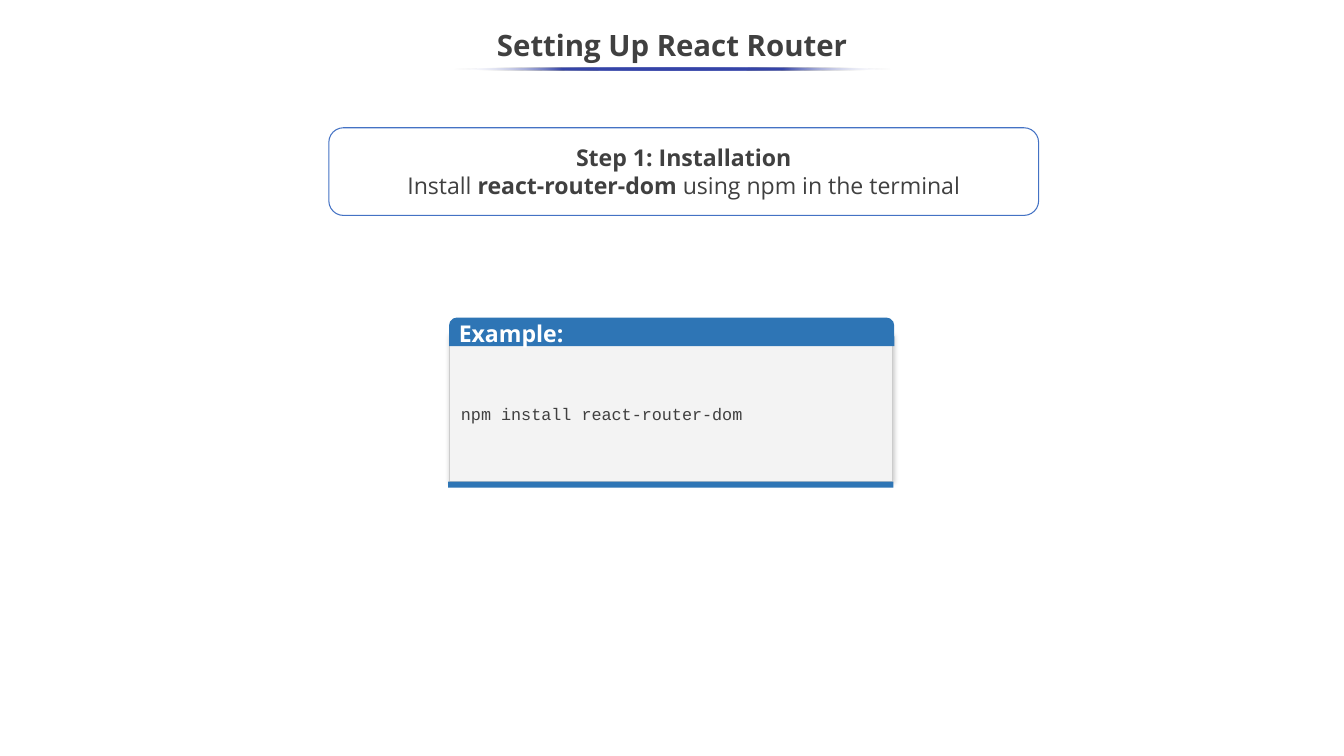
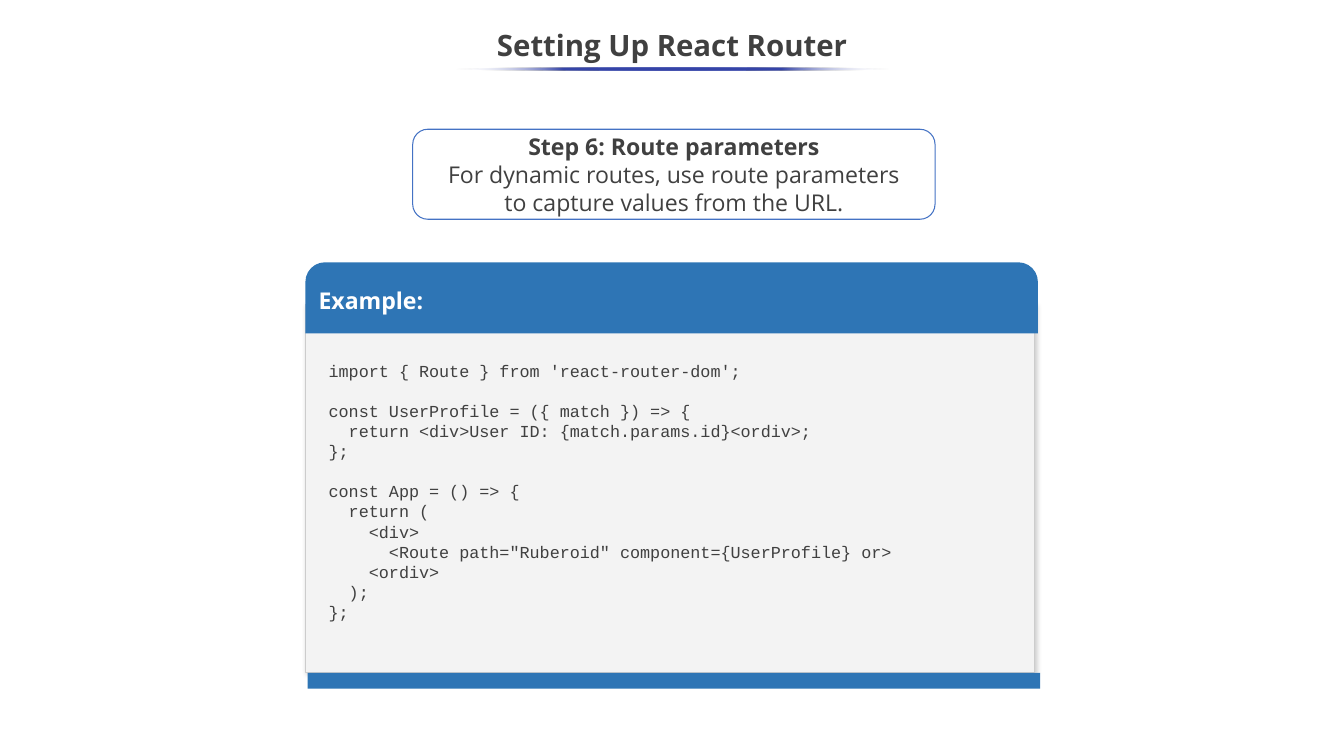
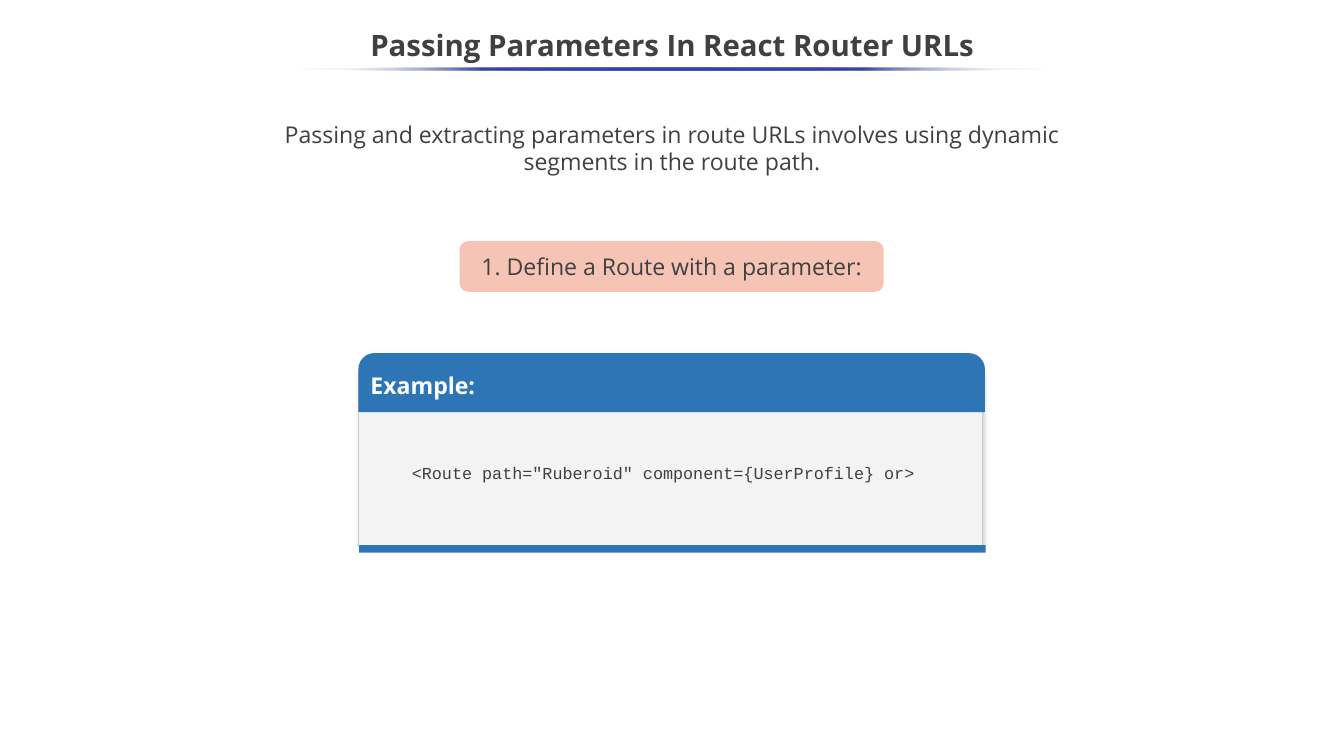
from dataclasses import dataclass
from typing import NamedTuple

from pptx import Presentation
from pptx import oxml
from pptx import util as u
from pptx.dml.color import RGBColor
from pptx.enum import shapes, text
from pptx.oxml import ns


# Colours, fonts and type sizes
@dataclass(frozen=True)
class Theme:
    ink: str = "404040"
    white: str = "FFFFFF"
    blue: str = "2E75B5"
    outline: str = "4472C4"
    peach: str = "F5C4B5"
    panel: str = "F3F3F3"
    panel_edge: str = "CCCCCC"
    underline: str = "3645A9"
    sans: str = "Open Sans"
    mono: str = "Courier New"
    title_size: int = 28
    body_size: int = 22
    code_size: int = 16
    code_gap: int = 19


THEME = Theme()
SLIDE_WIDTH, SLIDE_HEIGHT = 17.78, 10
FOOT_RULE = shapes.MSO_SHAPE.RECTANGLE


class Box(NamedTuple):
    left: float
    top: float
    width: float
    height: float

    def lengths(self) -> list[u.Length]:
        return [u.Inches(value) for value in self]


class Span(NamedTuple):
    words: str
    bold: bool = False


Line = tuple[Span, ...]


@dataclass(frozen=True)
class Callout:
    box: Box
    lines: tuple[Line, ...]
    fill: str = THEME.white
    outline: str | None = THEME.outline


@dataclass(frozen=True)
class Example:
    body: Box
    header: Box
    foot: Box
    code_box: Box
    code: str


@dataclass(frozen=True)
class Lesson:
    title: str
    underline: Box
    callout: Callout
    example: Example
    intro: Callout | None = None


# Text
def style_font(font, size: int, color: str, name: str = THEME.sans,
               bold: bool = False) -> None:
    font.size = u.Pt(size)
    font.name = name
    font.bold = bold
    font.color.rgb = RGBColor.from_string(color)


def write_centred(frame, lines: tuple[Line, ...]) -> None:
    frame.word_wrap = True
    for index, line in enumerate(lines):
        paragraph = frame.add_paragraph() if index else frame.paragraphs[0]
        paragraph.alignment = text.PP_ALIGN.CENTER
        for span in line:
            run = paragraph.add_run()
            run.text = span.words
            style_font(run.font, THEME.body_size, THEME.ink, bold=span.bold)


def add_text_box(slide, box: Box):
    frame = slide.shapes.add_textbox(*box.lengths()).text_frame
    frame.word_wrap = True
    frame.auto_size = text.MSO_AUTO_SIZE.SHAPE_TO_FIT_TEXT
    return frame


def add_code(slide, box: Box, code: str) -> None:
    """Blank lines in the code become space before the next paragraph."""
    frame = add_text_box(slide, box)
    for block_index, block in enumerate(code.split("\n\n")):
        for line_index, line in enumerate(block.split("\n")):
            first = block_index == line_index == 0
            paragraph = frame.paragraphs[0] if first else frame.add_paragraph()
            paragraph.text = line
            if block_index and not line_index:
                paragraph.space_before = u.Pt(THEME.code_gap)
            style_font(paragraph.runs[0].font, THEME.code_size, THEME.ink, THEME.mono)


# Shapes
def add_block(owner, kind: shapes.MSO_SHAPE, box: Box, fill: str,
              outline: str | None = None, weight: float = 1):
    block = owner.shapes.add_shape(kind, *box.lengths())
    block.shadow.inherit = False
    block.fill.solid()
    block.fill.fore_color.rgb = RGBColor.from_string(fill)
    if outline:
        block.line.color.rgb = RGBColor.from_string(outline)
        block.line.width = u.Pt(weight)
    else:
        block.line.fill.background()
    return block


def add_callout(slide, callout: Callout) -> None:
    block = add_block(slide, shapes.MSO_SHAPE.ROUNDED_RECTANGLE, callout.box,
                      callout.fill, callout.outline)
    block.text_frame.vertical_anchor = text.MSO_ANCHOR.MIDDLE
    write_centred(block.text_frame, callout.lines)


def add_underline(slide, box: Box) -> None:
    """Thin ellipse that fades out at both ends."""
    rule = add_block(slide, shapes.MSO_SHAPE.OVAL, box, THEME.underline)
    clear = f'<a:srgbClr val="{THEME.white}"><a:alpha val="0"/></a:srgbClr>'
    solid = f'<a:srgbClr val="{THEME.underline}"/>'
    stops = "".join(
        f'<a:gs pos="{percent * 1000}">{clear if percent in (0, 100) else solid}</a:gs>'
        for percent in range(0, 101, 25))
    gradient = oxml.parse_xml(
        f'<a:gradFill {ns.nsdecls("a")}><a:gsLst>{stops}</a:gsLst>'
        '<a:lin ang="10800000" scaled="0"/></a:gradFill>')
    properties = rule.element.spPr
    properties.replace(properties.find(ns.qn("a:solidFill")), gradient)


def cast_shadow(block) -> None:
    effects = block.element.spPr.find(ns.qn("a:effectLst"))
    effects.append(oxml.parse_xml(
        f'<a:outerShdw {ns.nsdecls("a")} blurRad="{u.Pt(4.5)}" dist="{u.Pt(1.5)}" '
        f'dir="{47 * 60000}" algn="tl" rotWithShape="0">'
        '<a:srgbClr val="000000"><a:alpha val="20000"/></a:srgbClr></a:outerShdw>'))


def add_example(slide, example: Example) -> None:
    panel = slide.shapes.add_group_shape()
    cast_shadow(add_block(panel, shapes.MSO_SHAPE.RECTANGLE, example.body,
                          THEME.panel, THEME.panel_edge, 0.75))
    header = add_block(panel, shapes.MSO_SHAPE.ROUND_2_SAME_RECTANGLE,
                       example.header, THEME.blue)
    header.adjustments[0] = 0.275
    header.adjustments[1] = 0
    frame = header.text_frame
    frame.text = "Example:"
    frame.word_wrap = True
    frame.vertical_anchor = text.MSO_ANCHOR.MIDDLE
    frame.paragraphs[0].alignment = text.PP_ALIGN.LEFT
    style_font(frame.paragraphs[0].runs[0].font, THEME.body_size, THEME.white, bold=True)
    add_block(panel, FOOT_RULE, example.foot, THEME.blue)
    add_code(slide, example.code_box, example.code)


def add_title(slide, words: str) -> None:
    title = slide.shapes.title
    title.left, title.top, title.width, title.height = Box(-0.01, 0.25, 17.8, 0.75).lengths()
    frame = title.text_frame
    frame.text = words
    frame.auto_size = text.MSO_AUTO_SIZE.NONE
    frame.vertical_anchor = text.MSO_ANCHOR.MIDDLE
    paragraph = frame.paragraphs[0]
    paragraph.alignment = text.PP_ALIGN.CENTER
    paragraph.line_spacing = 0.9
    style_font(paragraph.runs[0].font, THEME.title_size, THEME.ink, bold=True)


def add_lesson(deck, lesson: Lesson) -> None:
    slide = deck.slides.add_slide(deck.slide_layouts.get_by_name("Title Only"))
    add_title(slide, lesson.title)
    add_underline(slide, lesson.underline)
    if lesson.intro:
        write_centred(add_text_box(slide, lesson.intro.box), lesson.intro.lines)
    add_callout(slide, lesson.callout)
    add_example(slide, lesson.example)


# Content
ROUTE_CODE = '<Route path="Ruberoid" component={UserProfile} or>'
PARAMETERS_CODE = f"""import {{ Route }} from 'react-router-dom';

const UserProfile = ({{ match }}) => {{
  return <div>User ID: {{match.params.id}}<ordiv>;
}};

const App = () => {{
  return (
    <div>
      {ROUTE_CODE}
    <ordiv>
  );
}};"""

LESSONS = (
    Lesson(
        "Setting Up React Router",
        Box(6, 0.89, 5.79, 0.04),
        Callout(Box(4.35, 1.69, 9.39, 1.16), (
            (Span("Step 1: Installation", True),),
            (Span("Install "), Span("react-router-dom ", True),
             Span("using npm in the terminal")),
        )),
        Example(body=Box(5.94, 4.42, 5.87, 1.95), header=Box(5.94, 4.2, 5.89, 0.38),
                foot=Box(5.93, 6.37, 5.89, 0.08), code_box=Box(6, 5.29, 4.46, 0.37),
                code="npm install react-router-dom"),
    ),
    Lesson(
        "Setting Up React Router",
        Box(6.03, 0.89, 5.74, 0.04),
        Callout(Box(5.46, 1.71, 6.91, 1.19), (
            (Span("Step 6: Route parameters", True),),
            (Span("For dynamic routes, use route parameters"),),
            (Span("to capture values from the URL."),),
        )),
        Example(body=Box(4.04, 4.03, 9.65, 4.87), header=Box(4.04, 3.47, 9.69, 0.94),
                foot=Box(4.07, 8.9, 9.69, 0.21), code_box=Box(4.25, 4.72, 9.24, 3.87),
                code=PARAMETERS_CODE),
    ),
    Lesson(
        "Passing Parameters In React Router URLs",
        Box(3.9, 0.89, 9.98, 0.04),
        Callout(Box(6.08, 3.19, 5.61, 0.67),
                ((Span("1. Define a Route with a parameter:"),),),
                fill=THEME.peach, outline=None),
        Example(body=Box(4.74, 4.93, 8.25, 2.28), header=Box(4.74, 4.67, 8.29, 0.78),
                foot=Box(4.75, 7.21, 8.29, 0.1), code_box=Box(5.35, 6.07, 7.25, 0.64),
                code=ROUTE_CODE),
        intro=Callout(Box(2.94, 1.54, 11.9, 0.84), (
            (Span("Passing and extracting parameters in route URLs involves using "
                  "dynamic segments in the route path."),),
        )),
    ),
)


def main() -> None:
    deck = Presentation()
    deck.slide_width = u.Inches(SLIDE_WIDTH)
    deck.slide_height = u.Inches(SLIDE_HEIGHT)
    for lesson in LESSONS:
        add_lesson(deck, lesson)
    deck.save("out.pptx")


if __name__ == "__main__":
    main()
